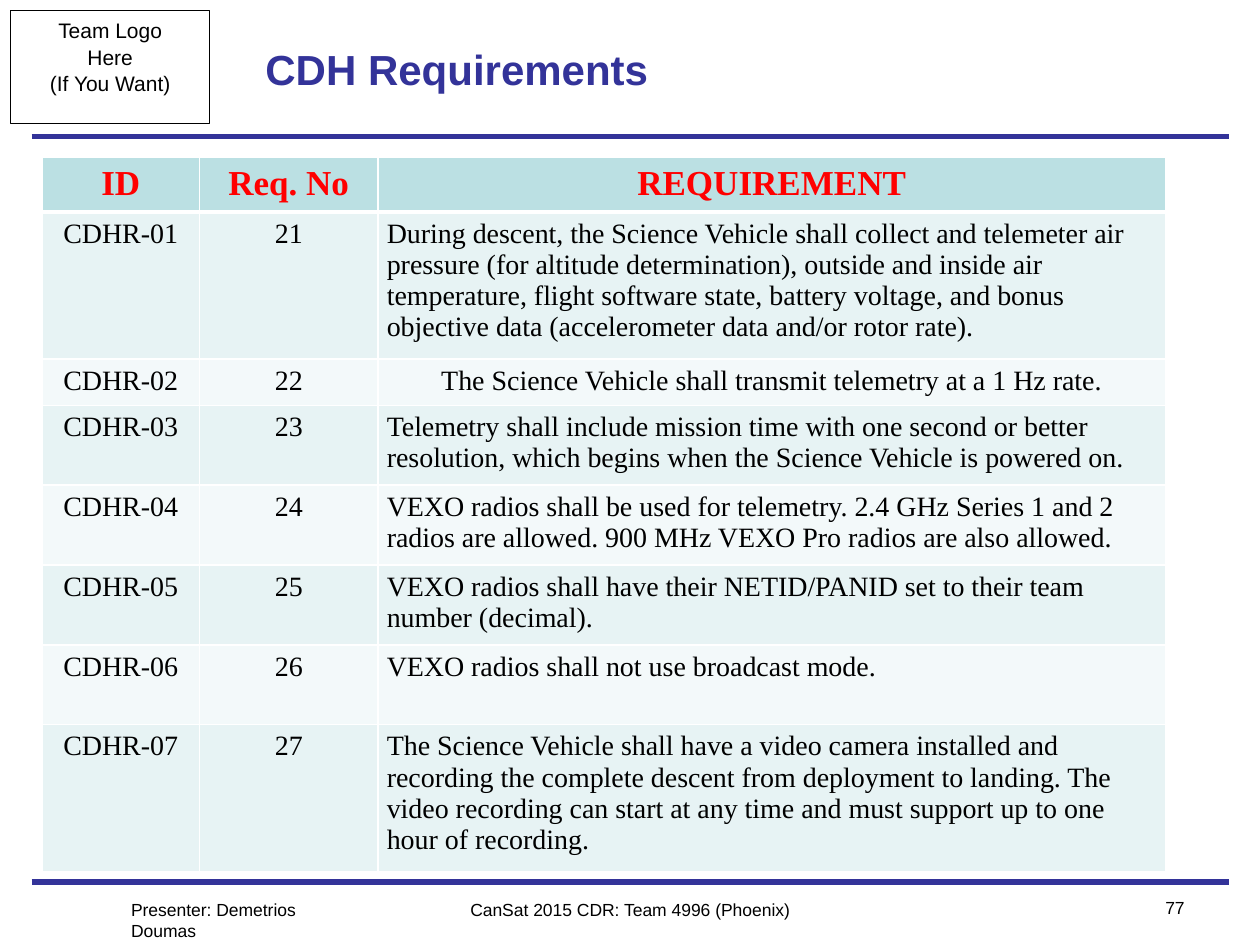
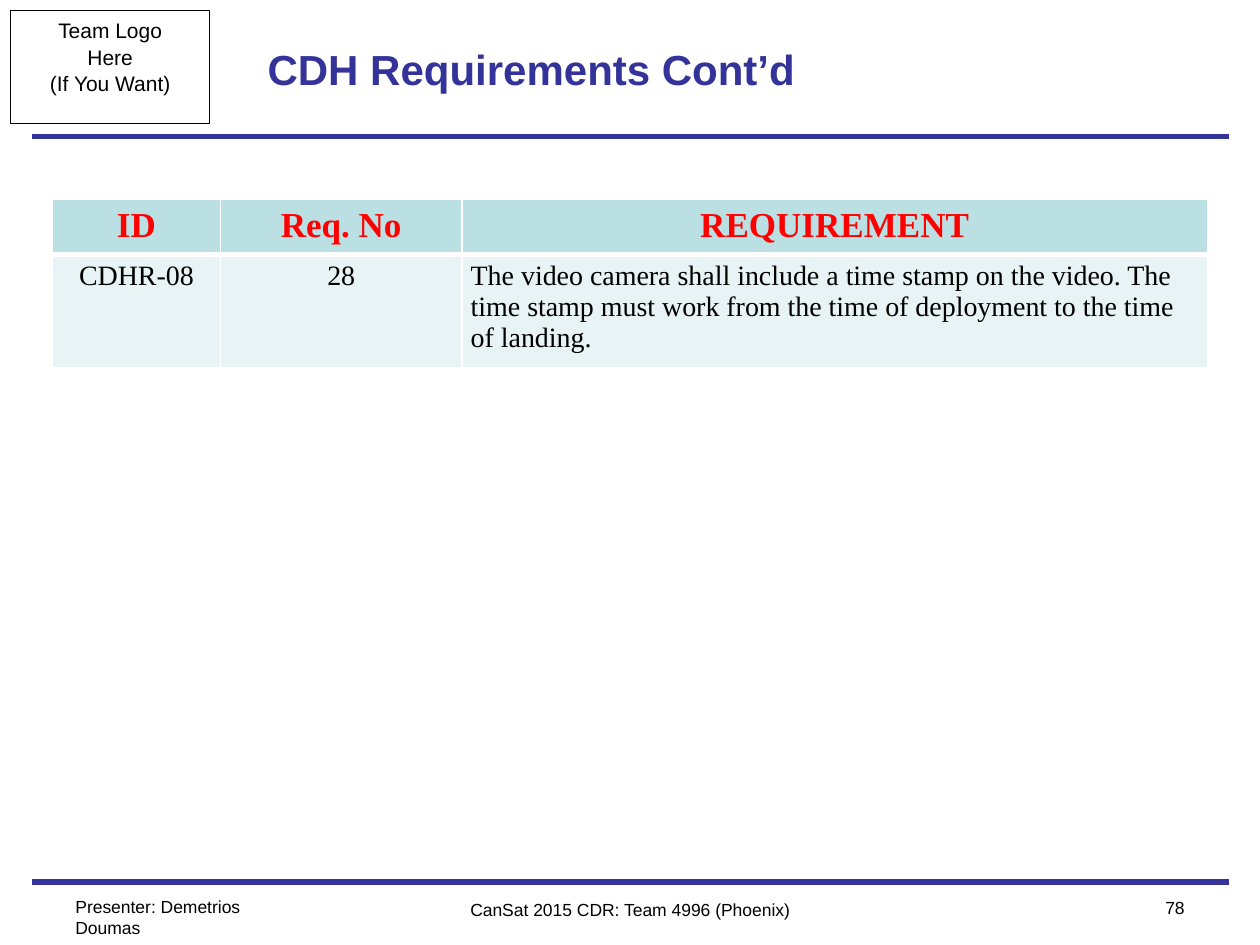
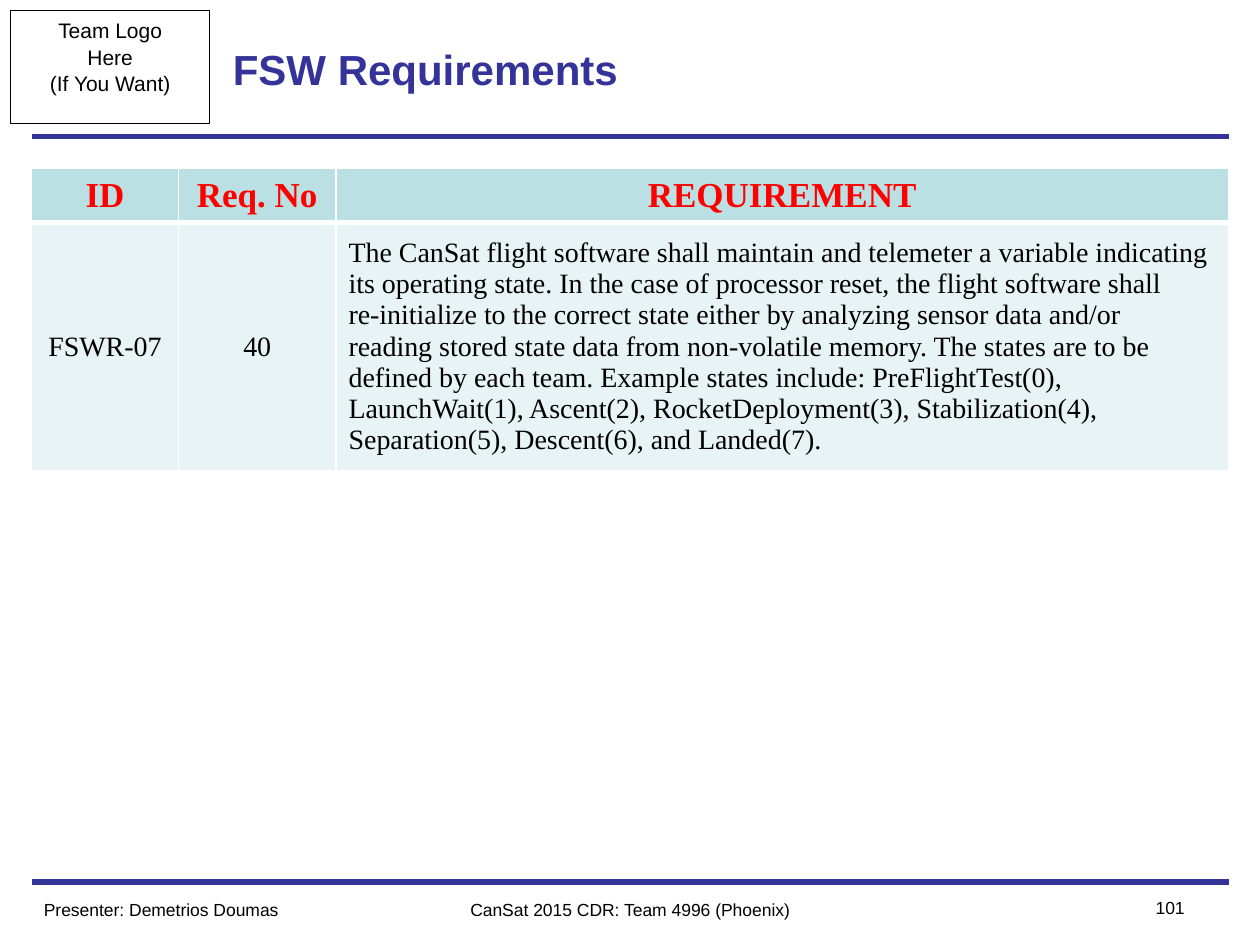
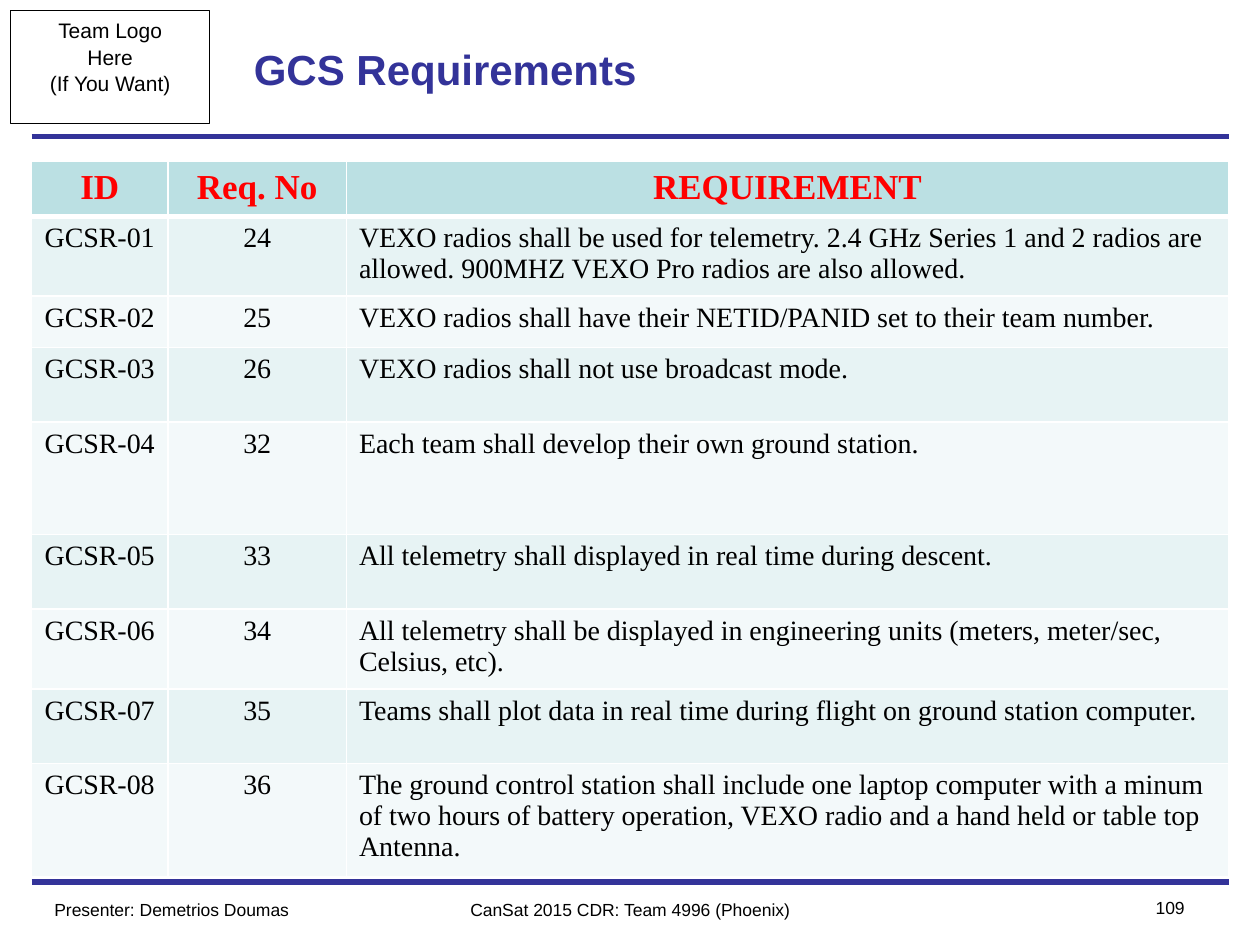
import pptx
import pptx.util
import pptx.dml.color
import pptx.enum.shapes
import pptx.enum.text
import pptx.oxml.ns
import lxml.etree

NAVY = pptx.dml.color.RGBColor(0x33, 0x33, 0x99)
BLACK = pptx.dml.color.RGBColor(0, 0, 0)
RED = pptx.dml.color.RGBColor(0xFF, 0, 0)
WHITE = pptx.dml.color.RGBColor(0xFF, 0xFF, 0xFF)
HEADER_TEAL = pptx.dml.color.RGBColor(0xBB, 0xE0, 0xE3)
BANDS = [
    pptx.dml.color.RGBColor(0xE7, 0xF3, 0xF4),
    pptx.dml.color.RGBColor(0xF3, 0xF9, 0xFA),
]

LEFT = pptx.enum.text.PP_ALIGN.LEFT
CENTER = pptx.enum.text.PP_ALIGN.CENTER
RIGHT = pptx.enum.text.PP_ALIGN.RIGHT
TOP = pptx.enum.text.MSO_ANCHOR.TOP
MIDDLE = pptx.enum.text.MSO_ANCHOR.MIDDLE

COLUMNS, ROWS = 120, 90
RULE_START, RULE_END = 3, 117
HEADINGS = ("ID", "Req. No", "REQUIREMENT")

presentation = pptx.Presentation()
presentation.slide_width = pptx.util.Inches(10)
presentation.slide_height = pptx.util.Inches(7.5)
blank_layout = presentation.slide_layouts[6]


def grid(*cells):
    return [round(cell * presentation.slide_width / COLUMNS) for cell in cells]


def write(frame, lines, size, color=BLACK, bold=False, align=LEFT, font="Arial"):
    frame.text = "\n".join(lines)
    for paragraph in frame.paragraphs:
        paragraph.alignment = align
        paragraph.font.name = font
        paragraph.font.size = pptx.util.Pt(size)
        paragraph.font.bold = bold
        paragraph.font.color.rgb = color


pages = [
    {
        "title": "CDH Requirements",
        "title_box": (24.1, 1, 66, 11),
        "number": 77,
        "presenter_box": (11.3, 85, 22.5, 7.3),
        "corner": (4, 15),
        "widths": (15, 17, 75),
        "heights": (5.1, 14, 4.4, 7.6, 7.6, 7.6, 7.6, 14),
        "side_margin": 0.07,
        "anchor": TOP,
        "centered": ["CDHR-02"],
        "requirements": [
            ("CDHR-01", "21", "During descent, the Science Vehicle shall collect and telemeter air "
             "pressure (for altitude determination), outside and inside air temperature, flight "
             "software state, battery voltage, and bonus objective data (accelerometer data "
             "and/or rotor rate)."),
            ("CDHR-02", "22", "The Science Vehicle shall transmit telemetry at a 1 Hz rate."),
            ("CDHR-03", "23", "Telemetry shall include mission time with one second or better "
             "resolution, which begins when the Science Vehicle is powered on."),
            ("CDHR-04", "24", "VEXO radios shall be used for telemetry. 2.4 GHz Series 1 and 2 "
             "radios are allowed. 900 MHz VEXO Pro radios are also allowed."),
            ("CDHR-05", "25", "VEXO radios shall have their NETID/PANID set to their team number "
             "(decimal)."),
            ("CDHR-06", "26", "VEXO radios shall not use broadcast mode."),
            ("CDHR-07", "27", "The Science Vehicle shall have a video camera installed and "
             "recording the complete descent from deployment to landing. The video recording "
             "can start at any time and must support up to one hour of recording."),
        ],
    },
    {
        "title": "CDH Requirements Cont’d",
        "title_box": (24.3, 1, 69, 11),
        "number": 78,
        "presenter_box": (6, 84.7, 22.5, 7.3),
        "corner": (5, 19),
        "widths": (16, 23, 71),
        "heights": (5.2, 10.8),
        "side_margin": 0.07,
        "anchor": TOP,
        "centered": [],
        "requirements": [
            ("CDHR-08", "28", "The video camera shall include a time stamp on the video. The time "
             "stamp must work from the time of deployment to the time of landing."),
        ],
    },
    {
        "title": "FSW Requirements",
        "title_box": (21, 1, 78, 11),
        "number": 101,
        "presenter_box": (3, 85, 30, 3.2),
        "corner": (3, 16),
        "widths": (14, 15, 85),
        "heights": (5.2, 23.5),
        "side_margin": 0.1,
        "anchor": MIDDLE,
        "centered": [],
        "requirements": [
            ("FSWR-07", "40",
             "The CanSat flight software shall maintain and telemeter a variable indicating\n"
             "its operating state. In the case of processor reset, the flight software shall\n"
             "re-initialize to the correct state either by analyzing sensor data and/or\n"
             "reading stored state data from non-volatile memory. The states are to be\n"
             "defined by each team. Example states include: PreFlightTest(0),\n"
             "LaunchWait(1), Ascent(2), RocketDeployment(3), Stabilization(4),\n"
             "Separation(5), Descent(6), and Landed(7)."),
        ],
    },
    {
        "title": "GCS Requirements",
        "title_box": (23, 1, 78, 11),
        "number": 109,
        "presenter_box": (4, 85, 36, 6.8),
        "corner": (3, 15.4),
        "widths": (13, 17, 84),
        "heights": (4.9, 7.1, 4.9, 7.1, 10.7, 7.1, 7.1, 7.1, 10),
        "side_margin": 0.1,
        "anchor": TOP,
        "centered": [],
        "requirements": [
            ("GCSR-01", "24", "VEXO radios shall be used for telemetry. 2.4 GHz Series 1 and 2 "
             "radios are allowed. 900MHZ VEXO Pro radios are also allowed."),
            ("GCSR-02", "25", "VEXO radios shall have their NETID/PANID set to their team number."),
            ("GCSR-03", "26", "VEXO radios shall not use broadcast mode."),
            ("GCSR-04", "32", "Each team shall develop their own ground station."),
            ("GCSR-05", "33", "All telemetry shall displayed in real time during descent."),
            ("GCSR-06", "34", "All telemetry shall be displayed in engineering units (meters, "
             "meter/sec, Celsius, etc)."),
            ("GCSR-07", "35", "Teams shall plot data in real time during flight on ground station "
             "computer."),
            ("GCSR-08", "36", "The ground control station shall include one laptop computer with "
             "a minum of two hours of battery operation, VEXO radio and a hand held or table "
             "top\nAntenna."),
        ],
    },
]

for page in pages:
    slide = presentation.slides.add_slide(blank_layout)

    for rule_row in (84, 13):
        rule = slide.shapes.add_connector(
            pptx.enum.shapes.MSO_CONNECTOR.STRAIGHT,
            *grid(RULE_START, rule_row, RULE_END, rule_row),
        )
        rule.line.color.rgb = NAVY
        rule.line.width = pptx.util.Pt(3)
        lxml.etree.SubElement(
            rule._element.spPr, pptx.oxml.ns.qn("a:effectLst")
        )

    logo_frame = slide.shapes.add_shape(
        pptx.enum.shapes.MSO_SHAPE.RECTANGLE, *grid(1, 1, 19, 10.8)
    )
    logo_frame.shadow.inherit = False
    logo_frame.fill.background()
    logo_frame.line.color.rgb = BLACK
    logo_frame.line.width = pptx.util.Pt(0.5)
    logo_frame.text_frame.word_wrap = False
    logo_frame.text_frame.vertical_anchor = TOP
    write(logo_frame.text_frame, ["Team Logo", "Here", "(If You Want)"], 12, align=CENTER)
    for paragraph in logo_frame.text_frame.paragraphs:
        paragraph.line_spacing = 1.05

    labels = [
        (page["title_box"], page["title"], 24, NAVY, True, LEFT, MIDDLE),
        ((36, 85, 48, 3.2), "CanSat 2015 CDR: Team 4996 (Phoenix)", 10, BLACK, False, CENTER, TOP),
        ((105, 84.8, 9, 3.2), str(page["number"]), 10, BLACK, False, RIGHT, TOP),
        (page["presenter_box"], "Presenter: Demetrios Doumas", 10, BLACK, False, LEFT, TOP),
    ]
    for box, text, size, color, bold, align, anchor in labels:
        label = slide.shapes.add_textbox(*grid(*box))
        label.text_frame.word_wrap = True
        label.text_frame.vertical_anchor = anchor
        write(label.text_frame, [text], size, color, bold, align)

    table_rows = [HEADINGS] + page["requirements"]
    table = slide.shapes.add_table(
        len(table_rows), len(HEADINGS),
        *grid(*page["corner"], sum(page["widths"]), sum(page["heights"])),
    ).table
    for column, width in zip(table.columns, grid(*page["widths"])):
        column.width = width
    for row, height in zip(table.rows, grid(*page["heights"])):
        row.height = height

    for row_index, values in enumerate(table_rows):
        is_header = row_index == 0
        for column_index, value in enumerate(values):
            cell = table.cell(row_index, column_index)
            cell.margin_left = cell.margin_right = pptx.util.Inches(page["side_margin"])
            cell.margin_top = cell.margin_bottom = pptx.util.Inches(0.05)
            cell.vertical_anchor = page["anchor"]

            properties = cell._tc.get_or_add_tcPr()
            for side in ("lnL", "lnR", "lnT", "lnB"):
                below_header = (row_index, side) in ((0, "lnB"), (1, "lnT"))
                border = lxml.etree.SubElement(
                    properties, pptx.oxml.ns.qn("a:" + side),
                    w=str(pptx.util.Pt(3 if below_header else 1)),
                )
                border_fill = lxml.etree.SubElement(border, pptx.oxml.ns.qn("a:solidFill"))
                lxml.etree.SubElement(
                    border_fill, pptx.oxml.ns.qn("a:srgbClr"), val=str(WHITE)
                )

            cell.fill.solid()
            cell.fill.fore_color.rgb = HEADER_TEAL if is_header else BANDS[(row_index - 1) % 2]
            is_centered = is_header or column_index < 2 or values[0] in page["centered"]
            write(
                cell.text_frame, value.split("\n"),
                20 if is_header else 16, RED if is_header else BLACK, is_header,
                CENTER if is_centered else LEFT, "Times New Roman",
            )

presentation.save("out.pptx")
